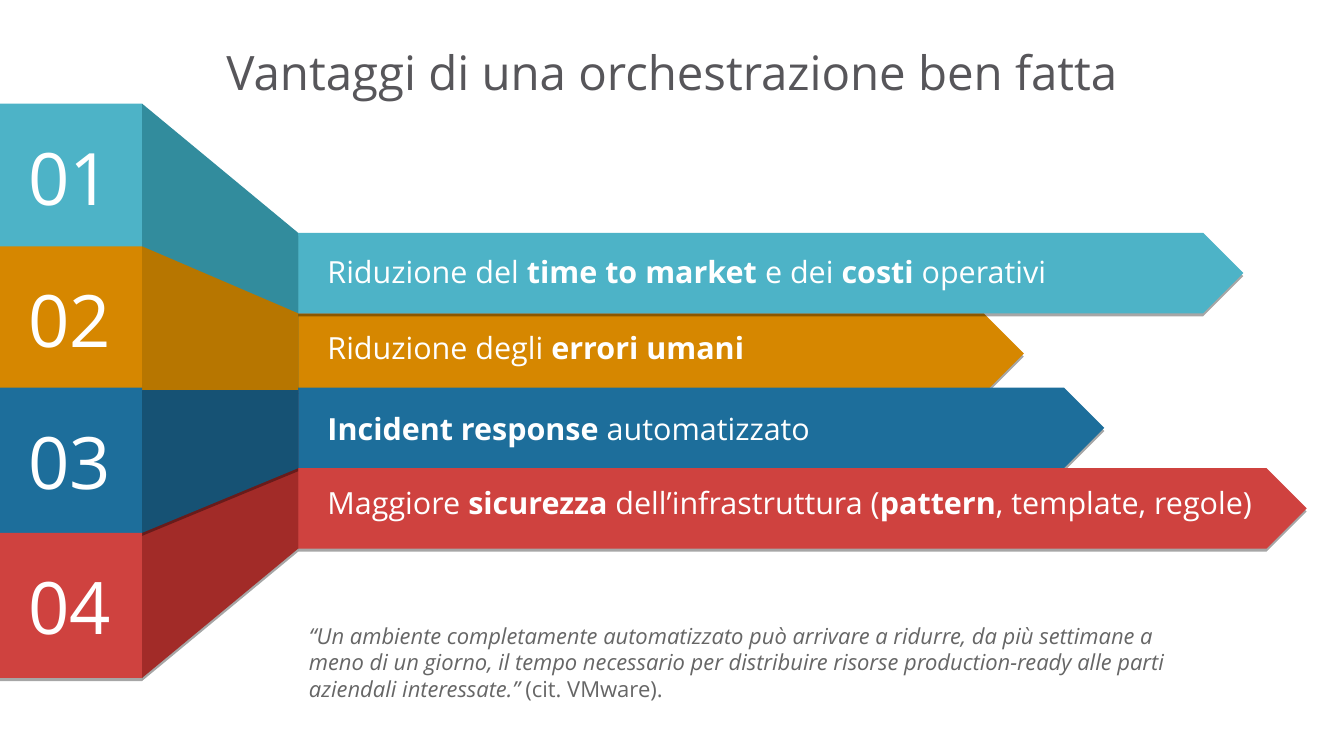
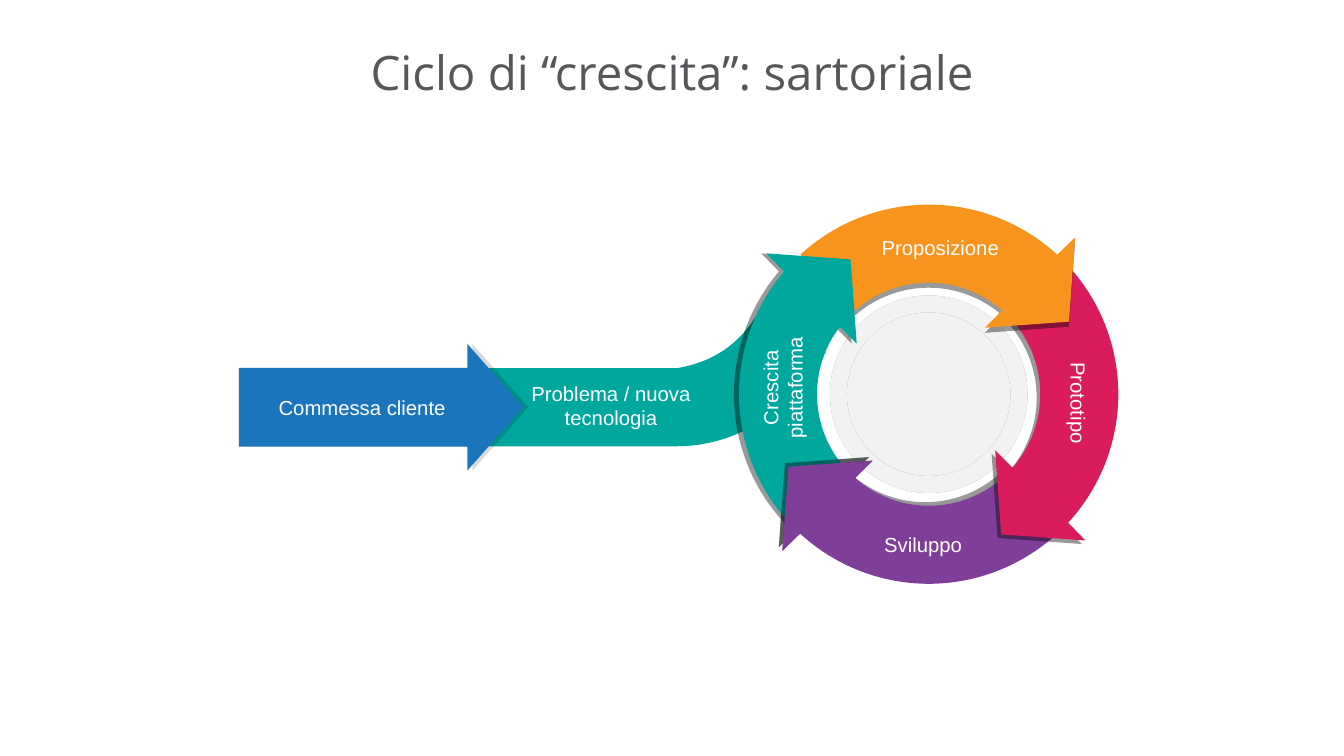
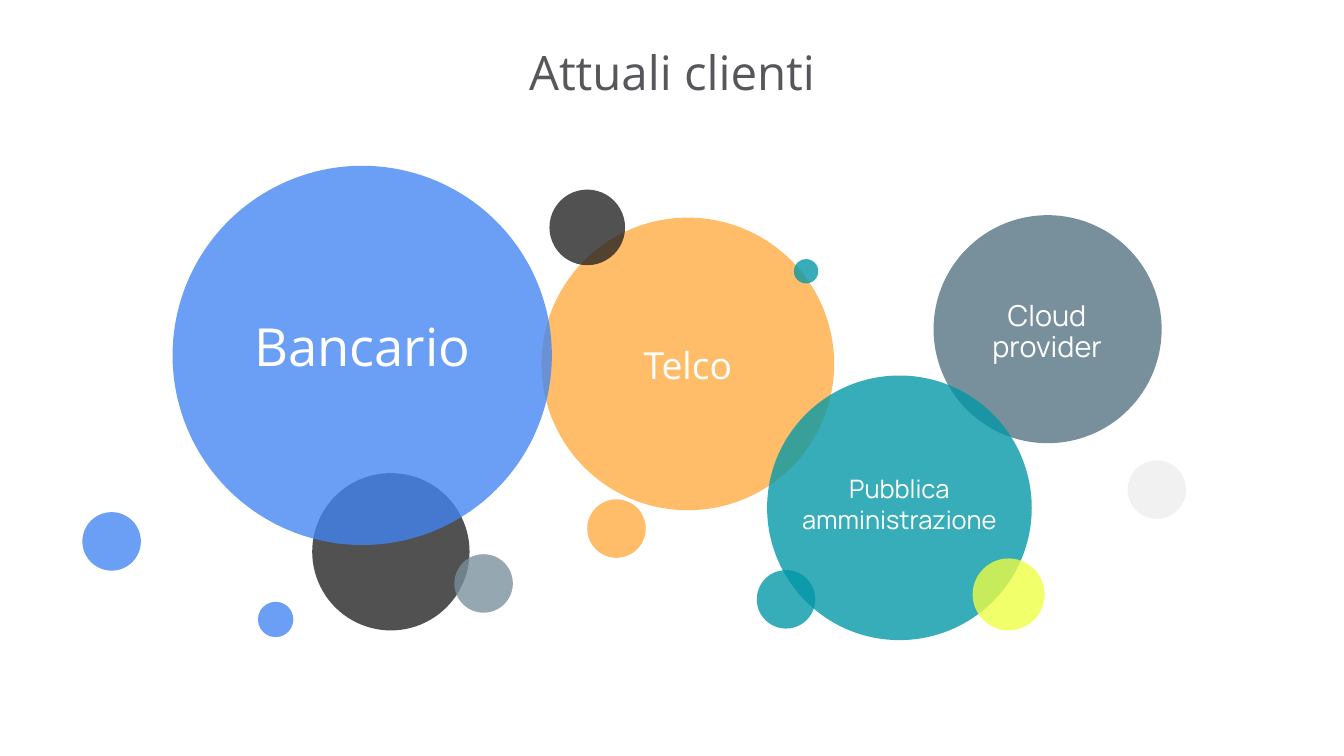
from math import atan2, cos, degrees, radians, sin, tan

from lxml.etree import SubElement
from pptx import Presentation
from pptx.dml.color import RGBColor
from pptx.enum.shapes import MSO_SHAPE
from pptx.enum.text import MSO_ANCHOR, MSO_AUTO_SIZE, PP_ALIGN
from pptx.oxml.ns import qn
from pptx.util import Inches, Pt

CELL = Inches(0.1)
COLS, ROWS = 110.2, 62
SANS, PLAIN, ROUND = "Open Sans", "Arial", "Manrope"
WHITE, TITLE_GREY, QUOTE_GREY, DISC = "FFFFFF", "57565A", "666666", "F2F2F2"

BANDS = [
    ("4DB3C7", "328C9D", 8.5, 19.1, 77.5, 20.7,
     "Riduzione del *time to market* e dei *costi* operativi"),
    ("D68700", "B77600", 20.2, 25.7, 59.5, 26.95, "Riduzione degli *errori umani*"),
    ("1D6E9B", "165274", 31.8, 31.8, 66.1, 33.6, "*Incident response* automatizzato"),
    ("CF423F", "A22B28", 43.7, 38.4, 82.7, 39.7,
     "Maggiore *sicurezza* dell’infrastruttura (*pattern*, template, regole)"),
]
BLOCK, BAND_H = 11.9, 6.6
FOLD_X, BAND_X, SEAM = 11.65, 24.45, 32
QUOTE = ("*“Un ambiente completamente automatizzato può arrivare a ridurre, da più "
         "settimane a meno di un giorno, il tempo necessario per distribuire risorse "
         "production-ready alle parti aziendali interessate.” *(cit. VMware).")

TEAL, PURPLE, RED, ORANGE, BLUE = "00A79D", "7F3E98", "DA1C5C", "F7941D", "1A75BC"
HUB_X, HUB_Y, OUTER, INNER = 76.15, 32.33, 15.55, 9.15
HEAD = [(12, -12.85), (11.5, -5.95), (4.6, -5.45)]
PIPE = [
    [(38.4, 30.2)], [(55.5, 30.2)], [(58.5, 29.7), (60.6, 28.2), (62, 25.9)],
    [(67.7, 28.9)], [(64.5, 34.2), (60, 36.6), (55.5, 36.6)], [(38.4, 36.6)],
]
CYCLE_LABELS = [
    ("Commessa cliente", 20.5, 32, 18.4, 0),
    ("Problema / nuova tecnologia", 42, 30.85, 16.2, 0),
    ("Crescita piattaforma", 55.65, 30.45, 14.9, 270),
    ("Proposizione", 70.95, 18.9, 12.3, 0),
    ("Prototipo", 83.3, 31.7, 10.4, 90),
    ("Sviluppo", 69.55, 43.25, 12.3, 0),
]

INK, SLATE, AMBER, SEA, SKY = "212121", "78909C", "FFAB40", "0097A7", "4285F4"
BUBBLES = [
    (INK, 25.6, 38.8, 12.9, 78), (SLATE, 76.55, 17.65, 18.7, 100),
    (AMBER, 44.4, 17.85, 24, 78), (SEA, 62.9, 30.8, 21.7, 78),
    (SKY, 14.15, 13.6, 31.1, 78), (INK, 45.05, 15.55, 6.2, 78),
    ("EEFF41", 79.75, 45.8, 5.9, 78), ("EEEEEE", 92.45, 37.75, 4.8, 78),
    (SLATE, 37.25, 45.45, 4.8, 78), (AMBER, 48.15, 40.95, 4.8, 78),
    (SEA, 62.05, 46.75, 4.8, 78), (SKY, 6.75, 42, 4.8, 78),
    (SKY, 21.15, 49.35, 2.9, 78), (SEA, 65.1, 21.25, 2, 78),
]
CLIENTS = [
    ("Pubblica amministrazione", 63.2, 38.42, 21.1, 5.3, 15, ROUND, None),
    ("Cloud provider", 79.4, 24.35, 12.9, 5.3, 17, ROUND, 0.9),
    ("Bancario", 19.85, 25.95, 19.7, 7.4, 31, SANS, 0.9),
    ("Telco", 48.45, 28.12, 15.9, 7.4, 22, SANS, 0.9),
]


def cells(*lengths):
    """Turn grid cells into EMU."""
    return [round(length * CELL) for length in lengths]


def rgb(color):
    """Turn a hex string into a colour."""
    return RGBColor.from_string(color)


def paint(sp, color, alpha=100, shadow=None):
    """Fill a shape without outline; shadow is (opacity, distance, direction)."""
    sp.fill.solid()
    sp.fill.fore_color.rgb = rgb(color)
    if alpha < 100:
        clr = sp._element.spPr.find(qn("a:solidFill"))[0]
        SubElement(clr, qn("a:alpha"), val=str(alpha * 1000))
    sp.line.fill.background()
    sp.shadow.inherit = False
    if shadow:
        opacity, distance, direction = shadow
        effects = sp._element.spPr.find(qn("a:effectLst"))
        outer = SubElement(effects, qn("a:outerShdw"), blurRad="0",
                           dist=str(Pt(distance)), dir=str(direction * 60000),
                           algn="ctr", rotWithShape="0")
        clr = SubElement(outer, qn("a:srgbClr"), val="000000")
        SubElement(clr, qn("a:alpha"), val=str(opacity * 1000))
    return sp


def preset(s, kind, box, color, **look):
    """Add a painted preset shape."""
    return paint(s.shapes.add_shape(kind, *cells(*box)), color, **look)


def outline(s, segments, color, **look):
    """Add a closed outline of lines (one point) and Bézier curves (three points)."""
    start, *rest = [cells(*segment[-1]) for segment in segments]
    builder = s.shapes.build_freeform(*start, scale=1.0)
    builder.add_line_segments(rest, close=True)
    sp = builder.convert_to_shape()
    steps = list(sp._element.iter(qn("a:lnTo")))
    for step, segment in zip(steps, segments[1:]):
        if len(segment) == 3:
            step.tag = qn("a:cubicBezTo")
            step.clear()
            for point in segment:
                x, y = cells(*point)
                SubElement(step, qn("a:pt"), x=str(x - sp.left), y=str(y - sp.top))
    return paint(sp, color, **look)


def lines(points):
    """Turn points into straight segments."""
    return [[point] for point in points]


def arc(radius, start, end, parts=2):
    """List Bézier segments of an arc about 0, 0, with degrees clockwise from the top."""
    step = radians(end - start) / parts
    pull = radius * tan(step / 4) * 4 / 3
    angles = [radians(start) + step * i for i in range(parts + 1)]
    ends = [(radius * sin(a), -radius * cos(a)) for a in angles]
    pulls = [(pull * cos(a), pull * sin(a)) for a in angles]
    segments = [[ends[0]]]
    for i in range(parts):
        (x0, y0), (x1, y1) = ends[i:i + 2]
        (dx0, dy0), (dx1, dy1) = pulls[i:i + 2]
        segments.append([(x0 + dx0, y0 + dy0), (x1 - dx1, y1 - dy1), (x1, y1)])
    return segments


def write(tf, text, size, font=SANS, color=WHITE, align=PP_ALIGN.LEFT, spacing=None,
          anchor=MSO_ANCHOR.TOP, inset=(0, 0), mark="bold"):
    """Write one paragraph, with the parts between asterisks marked."""
    tf.word_wrap = True
    tf.auto_size = MSO_AUTO_SIZE.NONE
    tf.vertical_anchor = anchor
    tf.margin_left = tf.margin_right = Inches(inset[0])
    tf.margin_top = tf.margin_bottom = Inches(inset[1])
    p = tf.paragraphs[0]
    p.alignment = align
    if spacing:
        p.line_spacing = spacing
    p.font.size, p.font.name = Pt(size), font
    p.font.color.rgb = rgb(color)
    for i, part in enumerate(text.split("*")):
        if part:
            r = p.add_run()
            r.text = part
            if i % 2:
                setattr(r.font, mark, True)


def label(s, box, text, size, rotation=0, **style):
    """Add a text box."""
    tb = s.shapes.add_textbox(*cells(*box))
    tb.rotation = rotation
    write(tb.text_frame, text, size, **style)


def titled_slide(prs, text):
    """Add a slide with the shared title style."""
    s = prs.slides.add_slide(prs.slide_layouts[5])
    title = s.shapes.title
    title.left, title.top, title.width, title.height = cells(8.25, 2.5, 93.7, 7.4)
    write(title.text_frame, text, 28, color=TITLE_GREY, align=PP_ALIGN.CENTER,
          spacing=0.86, anchor=MSO_ANCHOR.MIDDLE)
    return s


def number_block(s, i, shadow):
    """Add the numbered square of a band."""
    color, _, top = BANDS[i][:3]
    sp = preset(s, MSO_SHAPE.RECTANGLE, (FOLD_X - BLOCK, top, BLOCK, BLOCK), color,
                shadow=shadow)
    write(sp.text_frame, f"{i + 1:02}", 42.7, align=PP_ALIGN.CENTER,
          anchor=MSO_ANCHOR.MIDDLE, inset=(0.1, 0.05))


def fold(s, i, shadow):
    """Add the slanted face between a square and its band."""
    _, color, block_y, band_y = BANDS[i][:4]
    if i > 1:
        block_y, band_y = block_y + BLOCK, band_y + BAND_H
    corners = [(FOLD_X, block_y), (BAND_X, band_y), (BAND_X, SEAM), (FOLD_X, SEAM)]
    outline(s, lines(corners), color, shadow=shadow)


def advantages(prs):
    """Build the slide of four folded bands."""
    s = titled_slide(prs, "Vantaggi di una orchestrazione ben fatta")
    shadow = (35, 1.8, 90)
    for color, _, _, top, width, _, _ in BANDS[1:] + BANDS[:1]:
        preset(s, MSO_SHAPE.PENTAGON, (BAND_X, top, width, BAND_H), color, shadow=shadow)
    for _, _, _, _, width, text_top, text in BANDS:
        label(s, (26.85, text_top, width, 3.5), text, 18, spacing=0.85, inset=(0, 0.05))
    for i in (0, 1):
        number_block(s, i, shadow)
    for i in (0, 1, 3, 2):
        fold(s, i, shadow)
    for i in (2, 3):
        number_block(s, i, shadow)
    label(s, (24.35, 50.05, 74.1, 10.2), QUOTE, 13, color=QUOTE_GREY, inset=(0.1, 0.1),
          mark="italic")


def around_hub(segments, quarters):
    """Turn segments clockwise by quarters and move them to the hub."""
    for _ in range(quarters):
        segments = [[(-y, x) for x, y in segment] for segment in segments]
    return [[(HUB_X + x, HUB_Y + y) for x, y in segment] for segment in segments]


def cycle_arrow(s, quarters, color, direction, slip=0):
    """Add a curved arrow of the wheel; slip moves its head back."""
    (ox, oy), (ix, iy) = (10.55 - slip, -11.45 - slip), (6 - slip, -6.85 - slip)
    segments = arc(OUTER, -42.6, degrees(atan2(ox, -oy)))
    segments += lines((x - slip, y - slip) for x, y in HEAD)
    segments += arc(INNER, degrees(atan2(ix, -iy)), -41.2)
    outline(s, around_hub(segments, quarters), color, shadow=(40, 3, direction))


def hub_disc(s, diameter):
    """Add a disc at the centre of the wheel."""
    box = (HUB_X - diameter / 2, HUB_Y - diameter / 2, diameter, diameter)
    preset(s, MSO_SHAPE.OVAL, box, DISC, shadow=(40, 0, 0))


def growth_cycle(prs):
    """Build the slide of the arrow that enters a wheel."""
    s = titled_slide(prs, "Ciclo di “crescita”: sartoriale")
    hub_disc(s, 16.2)
    outline(s, PIPE, TEAL)
    cycle_arrow(s, 2, PURPLE, 225)
    cycle_arrow(s, 1, RED, 135)
    cycle_arrow(s, 0, ORANGE, 90)
    cycle_arrow(s, 3, TEAL, 180, slip=0.45)
    order = preset(s, MSO_SHAPE.RIGHT_ARROW, (19.6, 28.2, 23.3, 10.4), BLUE,
                   shadow=(14, 3, 0))
    order.adjustments[0], order.adjustments[1] = 0.62, 0.44
    outline(s, around_hub(lines(HEAD), 2), PURPLE, shadow=(40, 3, 225))
    for text, left, top, width, rotation in CYCLE_LABELS:
        label(s, (left, top, width, 2.7), text, 12, rotation, font=PLAIN,
              align=PP_ALIGN.CENTER, inset=(0.08, 0.04))
    hub_disc(s, 13.4)


def clients(prs):
    """Build the slide of client bubbles."""
    s = titled_slide(prs, "Attuali clienti")
    for color, left, top, size, alpha in BUBBLES:
        preset(s, MSO_SHAPE.OVAL, (left, top, size, size), color, alpha=alpha)
    for text, left, top, width, height, size, font, spacing in CLIENTS:
        label(s, (left, top, width, height), text, size, font=font, spacing=spacing,
              align=PP_ALIGN.CENTER, inset=(0.08, 0.04))


def main():
    """Build and save the presentation."""
    prs = Presentation()
    prs.slide_width, prs.slide_height = cells(COLS, ROWS)
    advantages(prs)
    growth_cycle(prs)
    clients(prs)
    prs.save("out.pptx")


if __name__ == "__main__":
    main()
